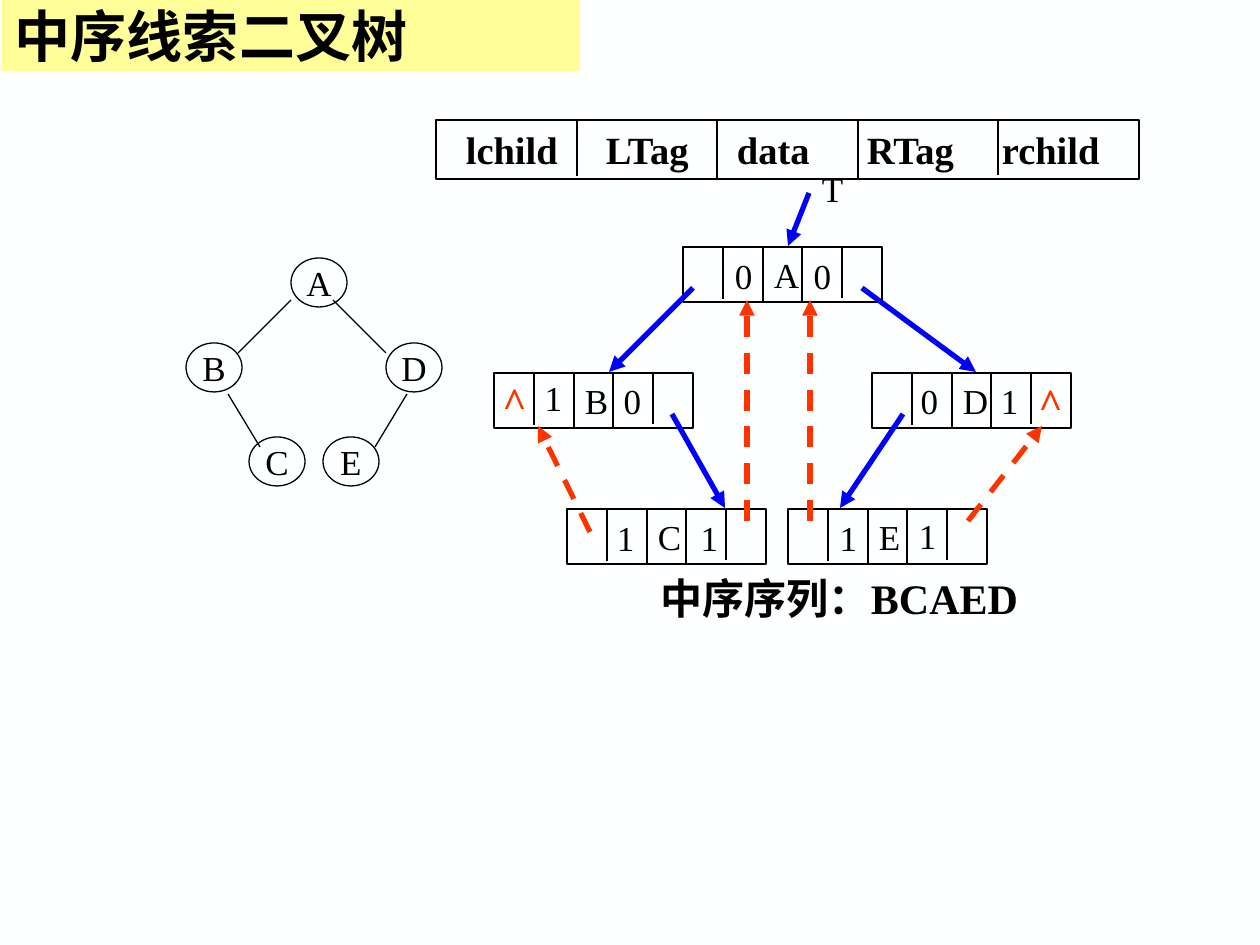
from lxml.etree import SubElement
from pptx import Presentation
from pptx.dml.color import RGBColor
from pptx.enum.dml import MSO_LINE
from pptx.enum.shapes import MSO_CONNECTOR, MSO_SHAPE
from pptx.enum.text import MSO_ANCHOR, MSO_AUTO_SIZE, PP_ALIGN
from pptx.oxml.ns import qn
from pptx.util import Emu, Pt

PX_PER_INCH = 126
PAPER = RGBColor(0xFE, 0xFF, 0xFF)
BLACK = RGBColor(0x00, 0x00, 0x00)
BLUE = RGBColor(0x00, 0x00, 0xFF)
RED = RGBColor(0xFF, 0x33, 0x00)
YELLOW = RGBColor(0xFF, 0xFF, 0x99)
SERIF = "Times New Roman"
SANS = "Noto Sans CJK SC"

NODE_W, NODE_H = 56, 49
RECORD_W, RECORD_H = 199, 55
FIELDS = 5
DIVIDER_GAPS = (3, 0, 0, 4)  # distance of each divider's end from the box bottom

TREE_NODES = {"A": (291, 258), "B": (186, 343), "C": (249, 437),
              "D": (386, 343), "E": (323, 437)}
TREE_EDGES = [(291, 300, 238, 353), (333, 300, 386, 353),
              (228, 394, 260, 447), (407, 394, 375, 447)]
RECORDS = {"A": (683, 247), "B": (494, 373), "D": (872, 373),
           "C": (567, 509), "E": (788, 509)}
TAGS = [("0", 722, 248), ("0", 801, 248),
        ("1", 532, 370), ("0", 611, 373),
        ("0", 908, 373), ("1", 988, 373),
        ("1", 604, 510), ("1", 688, 510),
        ("1", 827, 510), ("1", 906, 508)]
NULL_LINKS = [(490, 369), (1026, 370)]
CHILD_LINKS = [(809, 193, 788, 246), (693, 288, 609, 372), (862, 288, 976, 372),
               (672, 414, 725, 508), (903, 414, 840, 508)]
THREADS = [(590, 532, 538, 426), (747, 521, 747, 300),
           (810, 521, 810, 300), (968, 521, 1042, 426)]
HEADER_LABELS = ["lchild", "LTag", "data", "RTag", "rchild"]
HEADER_TABS = [140, 271, 401, 536]


def px(value):
    return Emu(round(value * 914400 / PX_PER_INCH))


def write(shape, text, size=20, color=BLACK, bold=False, font=SERIF,
          align=PP_ALIGN.LEFT, anchor=MSO_ANCHOR.MIDDLE, wrap=False,
          left_margin=13, tabs=()):
    frame = shape.text_frame
    frame.auto_size = MSO_AUTO_SIZE.NONE
    frame.word_wrap = wrap
    frame.vertical_anchor = anchor
    frame.margin_left, frame.margin_right = px(left_margin), px(13)
    frame.margin_top = frame.margin_bottom = px(6)
    paragraph = frame.paragraphs[0]
    paragraph.text = text
    paragraph.alignment = align
    if tabs:
        tab_list = SubElement(paragraph._p.get_or_add_pPr(), qn("a:tabLst"))
        for stop in tabs:
            SubElement(tab_list, qn("a:tab"), pos=str(px(stop)), algn="l")
    paragraph.font.name = font
    paragraph.font.size = Pt(size)
    paragraph.font.bold = bold
    paragraph.font.color.rgb = color


def add_outline(slide, kind, x, y, w, h):
    shape = slide.shapes.add_shape(kind, px(x), px(y), px(w), px(h))
    shape.shadow.inherit = False
    shape.fill.background()
    shape.line.color.rgb = BLACK
    shape.line.width = Pt(0.75)
    return shape


def add_label(slide, text, x, y, w, h, **style):
    write(slide.shapes.add_textbox(px(x), px(y), px(w), px(h)), text, **style)


def add_line(slide, x1, y1, x2, y2, color=BLACK, width=0.75, dashed=False, arrow=False):
    line = slide.shapes.add_connector(MSO_CONNECTOR.STRAIGHT, px(x1), px(y1), px(x2), px(y2))
    line.line.color.rgb = color
    line.line.width = Pt(width)
    if dashed:
        line.line.dash_style = MSO_LINE.DASH
    if arrow:
        SubElement(line.line._get_or_add_ln(), qn("a:tailEnd"), type="triangle")
    SubElement(line._element.spPr, qn("a:effectLst"))


def add_record(slide, x, y, w, h, text, **style):
    """A box split into equal fields by vertical dividers."""
    box = add_outline(slide, MSO_SHAPE.RECTANGLE, x, y, w, h)
    write(box, text, wrap=True, **style)
    for i, gap in enumerate(DIVIDER_GAPS, start=1):
        divider_x = x + round(w * i / FIELDS)
        add_line(slide, divider_x, y, divider_x, y + h - gap)


def add_title(slide):
    title = slide.shapes.title
    title.left, title.top, title.width, title.height = px(2), px(0), px(578), px(71)
    title.fill.solid()
    title.fill.fore_color.rgb = YELLOW
    write(title, "中序线索二叉树", size=32, bold=True, font=SANS, wrap=True)


def add_tree(slide):
    for name, (x, y) in TREE_NODES.items():
        node = add_outline(slide, MSO_SHAPE.OVAL, x, y, NODE_W, NODE_H)
        write(node, name, align=PP_ALIGN.CENTER)
    for edge in TREE_EDGES:
        add_line(slide, *edge)


def add_threaded_list(slide):
    for name, (x, y) in RECORDS.items():
        add_record(slide, x, y, RECORD_W, RECORD_H, name, left_margin=91)
    for tag, x, y in TAGS:
        add_label(slide, tag, x, y, 43, 55, align=PP_ALIGN.CENTER)
    for x, y in NULL_LINKS:
        add_label(slide, "^", x, y, 49, 63, size=24, color=RED, bold=True,
                  align=PP_ALIGN.CENTER)
    for link in CHILD_LINKS:
        add_line(slide, *link, color=BLUE, width=3, arrow=True)
    for thread in THREADS:
        add_line(slide, *thread, color=RED, width=3, dashed=True, arrow=True)


def main():
    prs = Presentation()
    prs.slide_width, prs.slide_height = px(1260), px(945)
    slide = prs.slides.add_slide(prs.slide_layouts[5])
    slide.background.fill.solid()
    slide.background.fill.fore_color.rgb = PAPER

    add_title(slide)
    add_tree(slide)
    add_threaded_list(slide)

    # Root pointer and traversal result
    add_label(slide, "T", 809, 161, 47, 55, anchor=MSO_ANCHOR.TOP)
    add_label(slide, "中序序列：BCAED", 648, 567, 392, 113, size=24, bold=True,
              anchor=MSO_ANCHOR.TOP)

    # Field names of a node
    add_record(slide, 436, 120, 703, 59, "\t".join(HEADER_LABELS), size=22, bold=True,
               left_margin=30, tabs=HEADER_TABS)

    prs.save("out.pptx")


if __name__ == "__main__":
    main()
